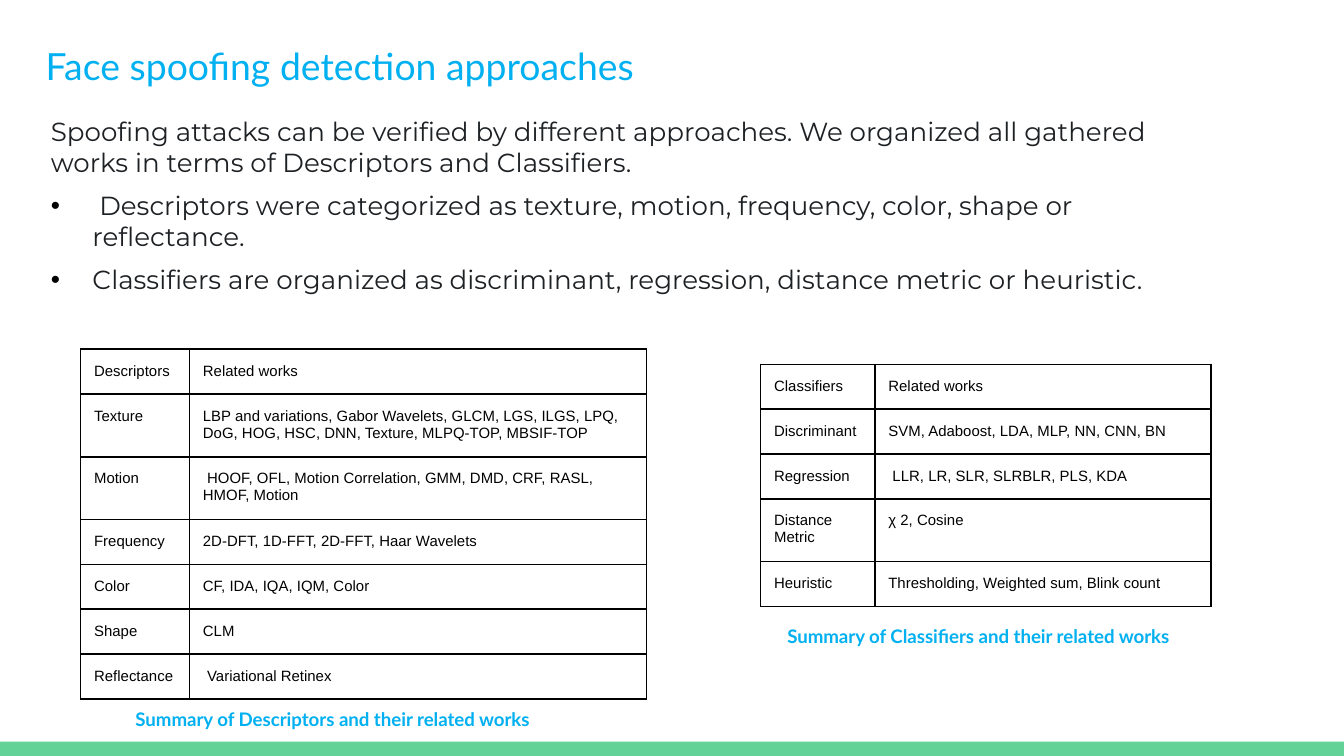
from dataclasses import dataclass
from typing import NamedTuple

from lxml.etree import SubElement
from pptx import Presentation
from pptx.dml.color import RGBColor
from pptx.enum.shapes import MSO_SHAPE as Shape
from pptx.enum.text import MSO_ANCHOR as Anchor, PP_ALIGN as Align
from pptx.oxml.ns import qn
from pptx.util import Inches, Pt

WIDTH, HEIGHT = Inches(10), Inches(5.625)
COLORS = {"accent": "00B0F0", "body": "1E2124", "line": "000000", "bar": "63D297"}
FORMATS = {
    "title": {"name": "Lato", "size": Pt(20), "bold": False, "color": "accent"},
    "body": {"name": "Montserrat", "size": Pt(14), "color": "body"},
    "cell": {"name": "Arial", "size": Pt(8), "bold": False, "color": "line"},
    "caption": {"name": "Lato", "size": Pt(10), "bold": True, "color": "accent"},
}
PADDING = Inches(0.1)
INDENT = Inches(0.31)
ROW_SHARE, LINE_SHARE = 5.92, 2.34


class Area(NamedTuple):
    left: float
    top: float
    width: float
    height: float

    def lengths(self) -> tuple[int, ...]:
        sides = (WIDTH, HEIGHT, WIDTH, HEIGHT)
        return tuple(round(side * share / 100) for side, share in zip(sides, self))


class Row(NamedTuple):
    label: str
    works: str
    lines: int = 1

    def share(self) -> float:
        return ROW_SHARE + (self.lines - 1) * LINE_SHARE


@dataclass
class Summary:
    left: float
    top: float
    columns: tuple[float, float]
    rows: list[Row]
    caption: str
    caption_area: Area


@dataclass
class Statement:
    text: str
    bullet: bool = False


STATEMENTS = [
    Statement("Spoofing attacks can be verified by different approaches. We organized all "
              "gathered works in terms of Descriptors and Classifiers."),
    Statement(" Descriptors were categorized as texture, motion, frequency, color, shape or "
              "reflectance.", bullet=True),
    Statement("Classifiers are organized as discriminant, regression, distance metric or "
              "heuristic. ", bullet=True),
]

SUMMARIES = [
    Summary(6, 46.2, (8.1, 34), [
        Row("Descriptors", "Related works"),
        Row("Texture", "LBP and variations, Gabor Wavelets, GLCM, LGS, ILGS, LPQ, "
                       "DoG, HOG, HSC, DNN, Texture, MLPQ-TOP, MBSIF-TOP", 2),
        Row("Motion", " HOOF, OFL, Motion Correlation, GMM, DMD, CRF, RASL, HMOF, Motion", 2),
        Row("Frequency", "2D-DFT, 1D-FFT, 2D-FFT, Haar Wavelets"),
        Row("Color", "CF, IDA, IQA, IQM, Color"),
        Row("Shape", "CLM"),
        Row("Reflectance", " Variational Retinex"),
    ], "Summary of Descriptors and their related works", Area(9.1, 92.1, 32.3, 6)),
    Summary(56.6, 48.2, (8.5, 25), [
        Row("Classifiers", "Related works"),
        Row("Discriminant", "SVM, Adaboost, LDA, MLP, NN, CNN, BN"),
        Row("Regression", " LLR, LR, SLR, SLRBLR, PLS, KDA"),
        Row("Distance Metric", "χ 2, Cosine", 2),
        Row("Heuristic", "Thresholding, Weighted sum, Blink count"),
    ], "Summary of Classifiers and their related works", Area(57.6, 81.1, 32, 5.3)),
]


def write(para, text: str, style: str) -> None:
    para.alignment = Align.LEFT
    span = para.add_run()
    span.text = text
    for name, value in FORMATS[style].items():
        if name == "color":
            span.font.color.rgb = RGBColor.from_string(COLORS[value])
        else:
            setattr(span.font, name, value)


def pad(target) -> None:
    for side in ("left", "top", "right", "bottom"):
        setattr(target, f"margin_{side}", PADDING)


def place(shape, area: Area) -> None:
    for name, value in zip(area._fields, area.lengths()):
        setattr(shape, name, value)


def add_bar(page, area: Area) -> None:
    bar = page.shapes.add_shape(Shape.RECTANGLE, *area.lengths())
    bar.shadow.inherit = False
    bar.fill.solid()
    bar.fill.fore_color.rgb = RGBColor.from_string(COLORS["bar"])
    bar.line.fill.background()


def add_title(page, text: str, area: Area) -> None:
    title = page.shapes.title
    place(title, area)
    frame = title.text_frame
    pad(frame)
    frame.vertical_anchor = Anchor.TOP
    write(frame.paragraphs[0], text, "title")


def add_bullet(para) -> None:
    properties = para._p.get_or_add_pPr()
    properties.set("marL", str(INDENT))
    properties.set("indent", str(-INDENT))
    color = SubElement(properties, qn("a:buClr"))
    SubElement(color, qn("a:srgbClr"), val=COLORS["line"])
    SubElement(properties, qn("a:buFont"), typeface="Arial")
    SubElement(properties, qn("a:buChar"), char="•")


def add_statements(page, statements: list[Statement], area: Area) -> None:
    frame = page.shapes.add_textbox(*area.lengths()).text_frame
    frame.word_wrap = True
    for index, statement in enumerate(statements):
        para = frame.add_paragraph() if index else frame.paragraphs[0]
        if statement.bullet:
            add_bullet(para)
        para.space_after = Pt(6)
        write(para, statement.text, "body")


def add_caption(page, text: str, area: Area) -> None:
    frame = page.shapes.add_textbox(*area.lengths()).text_frame
    frame.word_wrap = True
    pad(frame)
    write(frame.paragraphs[0], text, "caption")


def fill_cell(cell, text: str) -> None:
    pad(cell)
    cell.vertical_anchor = Anchor.TOP
    write(cell.text_frame.paragraphs[0], text, "cell")
    properties = cell._tc.get_or_add_tcPr()
    for edge in ("a:lnL", "a:lnR", "a:lnT", "a:lnB"):
        line = SubElement(properties, qn(edge), w=str(Pt(1)))
        solid = SubElement(line, qn("a:solidFill"))
        SubElement(solid, qn("a:srgbClr"), val=COLORS["line"])
    cell.fill.background()


def add_summary(page, summary: Summary) -> None:
    area = Area(summary.left, summary.top, sum(summary.columns),
                sum(row.share() for row in summary.rows))
    table = page.shapes.add_table(len(summary.rows), 2, *area.lengths()).table
    table.first_row = table.horz_banding = False
    for column, share in zip(table.columns, summary.columns):
        column.width = round(WIDTH * share / 100)
    for index, row in enumerate(summary.rows):
        table.rows[index].height = round(HEIGHT * row.share() / 100)
        for column, text in enumerate((row.label, row.works)):
            fill_cell(table.cell(index, column), text)
    add_caption(page, summary.caption, summary.caption_area)


def main() -> None:
    deck = Presentation()
    deck.slide_width, deck.slide_height = WIDTH, HEIGHT
    page = deck.slides.add_slide(deck.slide_layouts.get_by_name("Title Only"))
    add_bar(page, Area(0, 98.1, 100, 1.9))
    add_title(page, "Face spoofing detection approaches", Area(2.4, 3.9, 46.6, 11.2))
    add_statements(page, STATEMENTS, Area(2.8, 14.4, 83.7, 35.5))
    for summary in SUMMARIES:
        add_summary(page, summary)
    deck.save("out.pptx")


if __name__ == "__main__":
    main()
